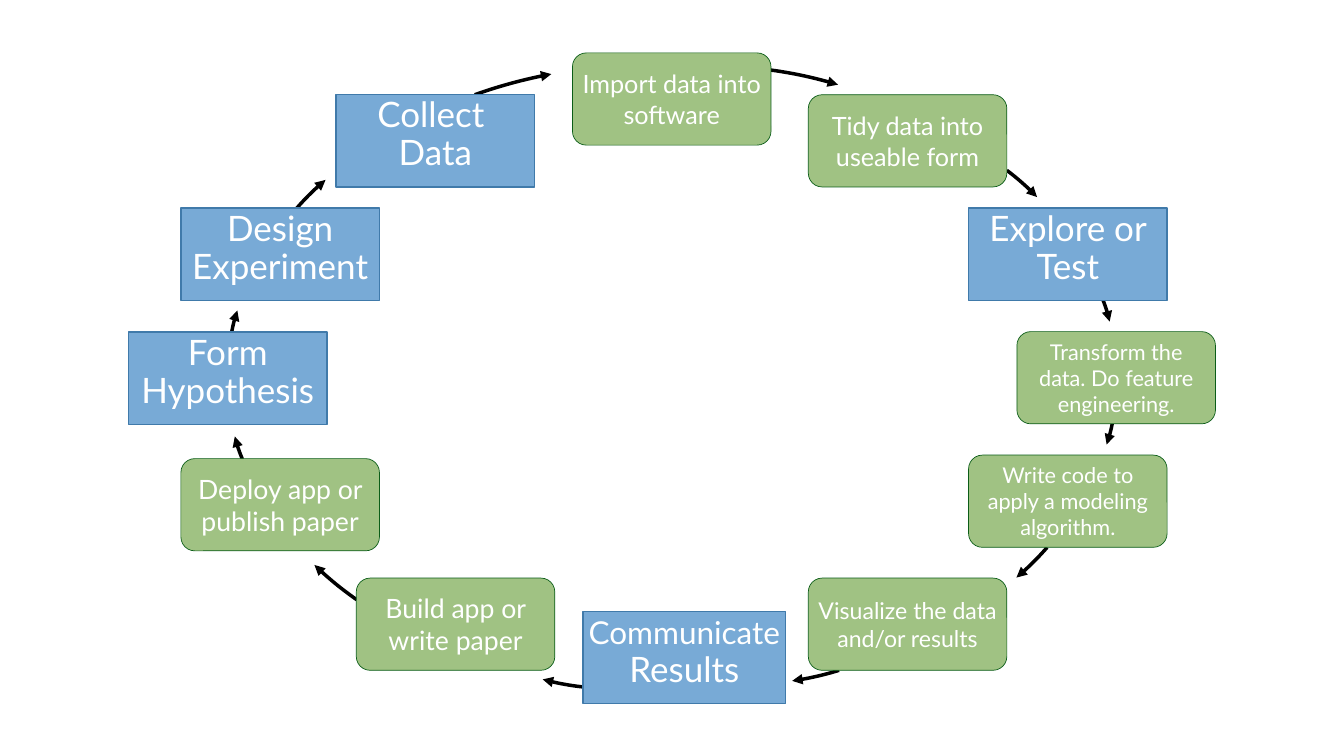
from lxml import etree
from pptx import Presentation
from pptx.dml.color import RGBColor
from pptx.enum import shapes, text
from pptx.oxml.ns import qn
from pptx.util import Inches, Pt

BOX_WIDTH, BOX_HEIGHT = 3.94, 1.83
BULGE = 0.02        # height of an arrow's arc, as a share of its length
ARC_SEGMENTS = 12

STAGE = dict(kind=shapes.MSO_SHAPE.RECTANGLE, fill="78AAD6", line="407AAA",
             line_width=2, inset=0.06, anchor=text.MSO_ANCHOR.TOP, spacing=0.9)
TASK = dict(kind=shapes.MSO_SHAPE.ROUNDED_RECTANGLE, fill="A0C283", line="0B5D18",
            line_width=1, inset=0.08, anchor=text.MSO_ANCHOR.MIDDLE, spacing=None)

# Clockwise: style, left, top, paragraphs of (words, size) runs,
# then the start and end of the arrow to the next step
CYCLE = [
    (STAGE, 2.55, 6.59, [[("Form Hypothesis", 50)]], (4.6, 6.58), (4.71, 6.16)),
    (STAGE, 3.59, 4.13, [[("Design Experiment", 50)]], (5.89, 4.13), (6.46, 3.57)),
    (STAGE, 6.67, 1.88, [[("Collect ", 50)], [("Data", 50)]], (9.42, 1.88), (10.94, 1.47)),
    (TASK, 11.36, 1.05, [[("Import data into software", 36)]], (15.3, 1.39), (16.63, 1.68)),
    (TASK, 16.04, 1.88, [[("Tidy data into useable form", 36)]], (19.98, 3.38), (20.58, 3.91)),
    (STAGE, 19.22, 4.13, [[("Explore or Test", 50)]], (21.89, 5.96), (22.02, 6.38)),
    (TASK, 20.18, 6.58, [[("Transform the data. Do feature engineering.", 31)]],
     (22.07, 8.41), (21.96, 8.82)),
    (TASK, 19.22, 9.03, [[("Write code to apply a modeling algorithm.", 31)]],
     (20.78, 10.86), (20.17, 11.46)),
    (TASK, 16.04, 11.47, [[("Visualize the data and/or results", 33)]],
     (16.65, 13.3), (15.72, 13.51)),
    (STAGE, 11.57, 12.13, [[("Communicate", 45), (" Results", 50)]],
     (11.57, 13.63), (10.77, 13.48)),
    (TASK, 7.07, 11.47, [[("Build app or write paper", 38)]], (7.08, 11.9), (6.24, 11.21)),
    (TASK, 3.59, 9.1, [[("Deploy app or publish paper", 38)]], (4.81, 9.11), (4.66, 8.66)),
]
WIDE_BOXES = {"Communicate": 4.02}


def color(value):
    return RGBColor.from_string(value)


def add_arrow(slide, start, end):
    """Draw a shallow arc, bowed towards the outside of the clockwise ring."""
    (x1, y1), (x2, y2) = start, end
    dx, dy = x2 - x1, y2 - y1
    points = []
    for i in range(ARC_SEGMENTS + 1):
        t = i / ARC_SEGMENTS
        bow = 4 * BULGE * t * (1 - t)
        points.append((Inches(x1 + t * dx + bow * dy), Inches(y1 + t * dy - bow * dx)))
    builder = slide.shapes.build_freeform(*points[0])
    builder.add_line_segments(points[1:], close=False)
    arrow = builder.convert_to_shape()
    arrow.shadow.inherit = False
    arrow.fill.background()
    arrow.line.color.rgb = color("000000")
    arrow.line.width = Pt(5)
    etree.SubElement(arrow.line._get_or_add_ln(), qn("a:tailEnd"), type="triangle")


def add_step(slide, style, left, top, paragraphs):
    width = WIDE_BOXES.get(paragraphs[0][0][0], BOX_WIDTH)
    box = slide.shapes.add_shape(style["kind"], Inches(left), Inches(top),
                                 Inches(width), Inches(BOX_HEIGHT))
    if style is TASK:
        box.adjustments[0] = 0.15
    box.shadow.inherit = False
    box.fill.solid()
    box.fill.fore_color.rgb = color(style["fill"])
    box.line.color.rgb = color(style["line"])
    box.line.width = Pt(style["line_width"])

    frame = box.text_frame
    frame.word_wrap = True
    frame.vertical_anchor = style["anchor"]
    frame.margin_left = frame.margin_right = Inches(style["inset"])
    frame.margin_top = frame.margin_bottom = Inches(style["inset"])
    for i, runs in enumerate(paragraphs):
        paragraph = frame.add_paragraph() if i else frame.paragraphs[0]
        paragraph.alignment = text.PP_ALIGN.CENTER
        paragraph.line_spacing = style["spacing"]
        paragraph.font.name = "Lato"
        paragraph.font.color.rgb = color("FFFFFF")
        paragraph.font.size = Pt(runs[0][1])
        for words, size in runs:
            run = paragraph.add_run()
            run.text = words
            if size != runs[0][1]:
                run.font.size = Pt(size)


def main():
    prs = Presentation()
    prs.slide_width, prs.slide_height = Inches(26.67), Inches(15)
    slide = prs.slides.add_slide(prs.slide_layouts[6])
    for *_, start, end in CYCLE:
        add_arrow(slide, start, end)
    for style, left, top, paragraphs, *_ in CYCLE:
        add_step(slide, style, left, top, paragraphs)
    prs.save("out.pptx")


if __name__ == "__main__":
    main()
